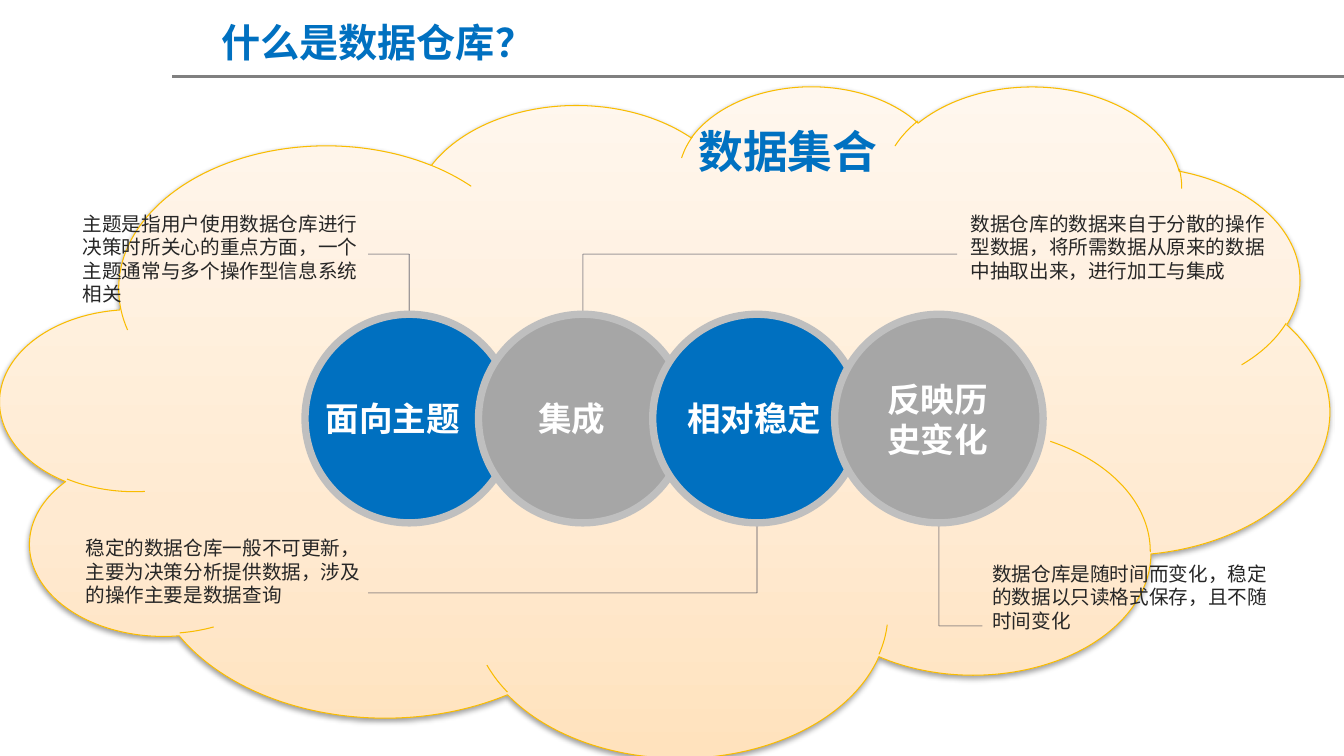
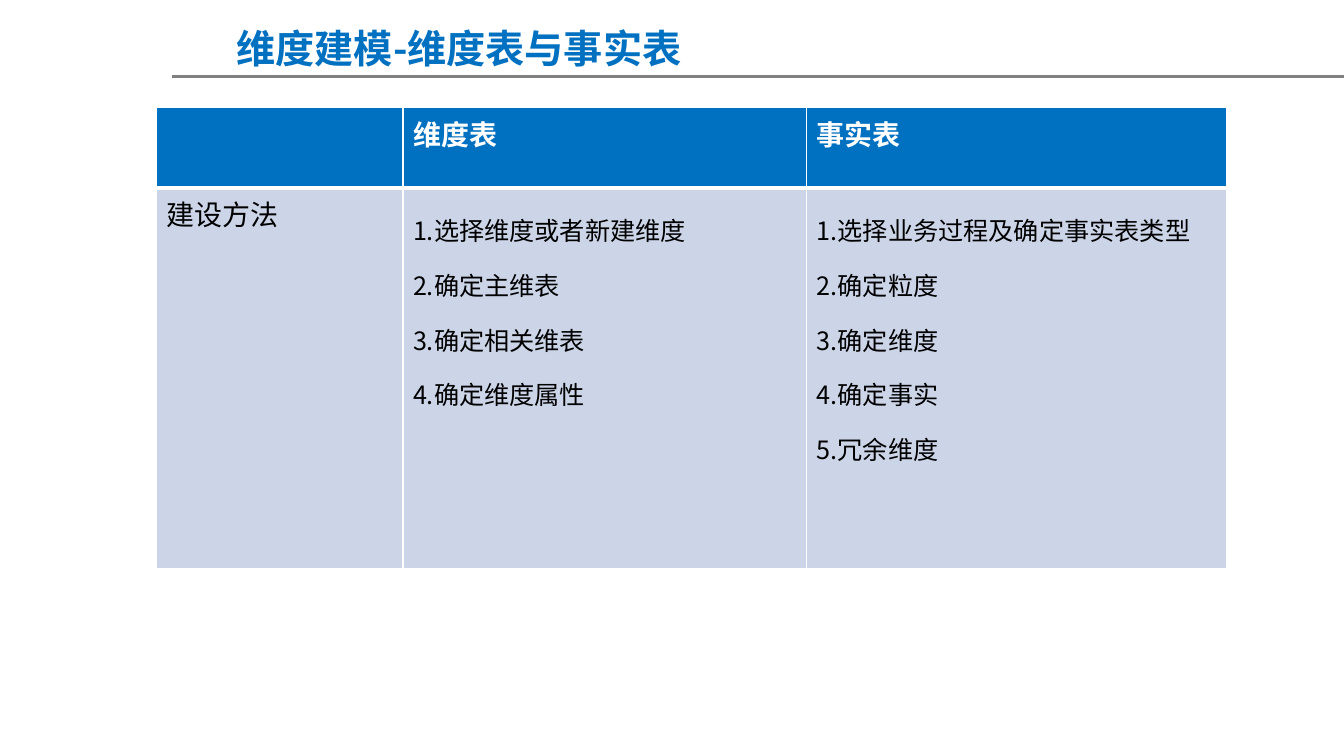
"""Build two slides on data warehouses: key features and dimensional modelling."""
from copy import deepcopy

from lxml import etree
from pptx import Presentation
from pptx.dml.color import RGBColor
from pptx.enum.shapes import MSO_CONNECTOR, MSO_SHAPE
from pptx.enum.text import PP_ALIGN
from pptx.oxml.ns import qn
from pptx.util import Pt

STRAIGHT = MSO_CONNECTOR.STRAIGHT
CLOUD = MSO_SHAPE.CLOUD
OVAL = MSO_SHAPE.OVAL
LEFT = PP_ALIGN.LEFT
CENTER = PP_ALIGN.CENTER

WIDTH, HEIGHT = 960.5, 540
FONT = "Noto Sans CJK SC"
BLUE, GRAY, RING, RULE = "0070C0", "A6A6A6", "BFBFBF", "808080"
WHITE, BLACK, INK, LEADER = "FFFFFF", "000000", "262626", "414455"
CLOUD_EDGE, CELL = "F9BC00", "CCD5E8"
CLOUD_STOPS = [("FFE2BD", 0), ("FFEAD1", 0.35), ("FFF7EE", 1)]

CIRCLE_TOP, CIRCLE_SIZE = 224.5, 149
CIRCLES = [
    ("面向主题", 218, BLUE, (225.5, 281, 123)),
    ("集成", 342, GRAY, (377.5, 281, 96.5)),
    ("相对稳定", 466.5, BLUE, (484, 281, 114)),
    ("反映历史变化", 596.5, GRAY, (627, 267, 96.5)),
]
NOTES = [
    ("主题是指用户使用数据仓库进行决策时所关心的重点方面，一个主题通常与多个操作型信息系统相关",
     (52, 147.5, 219.5, 91), (263, 181.5)),
    ("数据仓库的数据来自于分散的操作型数据，将所需数据从原来的数据中抽取出来，进行加工与集成",
     (686.5, 147.5, 234.5, 99.5), (684, 181.5)),
    ("稳定的数据仓库一般不可更新，主要为决策分析提供数据，涉及的操作主要是数据查询",
     (54, 379.5, 219.5, 99.5), (263, 423.5)),
    ("数据仓库是随时间而变化，稳定的数据以只读格式保存，且不随时间变化",
     (702, 397.5, 219.5, 99.5), (702, 447)),
]
COLUMNS, ROWS = [176.5, 288.5, 300.5], [57.5, 271.5]
HEADINGS = ["", "维度表", "事实表"]
METHODS = [
    ["建设方法"],
    ["1.选择维度或者新建维度", "2.确定主维表", "3.确定相关维表", "4.确定维度属性"],
    ["1.选择业务过程及确定事实表类型", "2.确定粒度", "3.确定维度", "4.确定事实",
     "5.冗余维度"],
]


def rgb(color):
    """Turn a hex string into a colour."""
    return RGBColor.from_string(color)


def child(parent, tag, **attrs):
    """Append an XML element with attributes."""
    el = etree.SubElement(parent, qn(tag))
    for key, value in attrs.items():
        el.set(key, str(value))
    return el


def write(tf, lines, size, color, bold=False, align=LEFT, spacing=None):
    """Fill a text frame with equally styled paragraphs."""
    for i, line in enumerate(lines):
        p = tf.paragraphs[0] if i == 0 else tf.add_paragraph()
        p.text = line
        p.alignment = align
        if spacing:
            p.line_spacing = spacing
        p.font.size, p.font.bold, p.font.name = Pt(size), bold, FONT
        p.font.color.rgb = rgb(color)
        child(p._p.pPr.find(qn("a:defRPr")), "a:ea", typeface=FONT)


def add_text(shapes, box, text, size, color, **style):
    """Add a wrapping text box."""
    tf = shapes.add_textbox(*map(Pt, box)).text_frame
    tf.word_wrap = True
    write(tf, [text], size, color, **style)


def add_line(shapes, start, end, color, width, alpha=None):
    """Add a straight line without a shadow."""
    c = shapes.add_connector(STRAIGHT, *map(Pt, (*start, *end)))
    c.line.color.rgb = rgb(color)
    c.line.width = Pt(width)
    if alpha:
        child(c._element.spPr.find(".//" + qn("a:srgbClr")), "a:alpha", val=alpha * 1000)
    child(c._element.spPr, "a:effectLst")


def add_outlined(shapes, kind, box, color, width):
    """Add a preset shape with an outline and no shadow."""
    sp = shapes.add_shape(kind, *map(Pt, box))
    sp.shadow.inherit = False
    sp.line.color.rgb = rgb(color)
    sp.line.width = Pt(width)
    return sp


def add_cloud(shapes):
    """Add the shaded cloud behind the diagram."""
    sp = add_outlined(shapes, CLOUD, (0.5, 60.5, 949.5, 479.5), CLOUD_EDGE, 0.75)
    sp.fill.gradient()
    sp.fill.gradient_angle = 90
    stops = sp._element.spPr.find(".//" + qn("a:gsLst"))
    stops.append(deepcopy(stops[0]))
    for stop, (color, position) in zip(sp.fill.gradient_stops, CLOUD_STOPS):
        stop.color.rgb = rgb(color)
        stop.position = position
    shadow = child(sp._element.spPr.find(qn("a:effectLst")), "a:outerShdw",
                   blurRad=Pt(3.1), dist=Pt(1.6), dir=5400000, rotWithShape=0)
    child(child(shadow, "a:srgbClr", val=BLACK), "a:alpha", val=38000)


def add_circle(shapes, label, left, color, label_box):
    """Add a ringed circle grouped with its label."""
    group = shapes.add_group_shape().shapes
    sp = add_outlined(group, OVAL, (left, CIRCLE_TOP, CIRCLE_SIZE, CIRCLE_SIZE), RING, 5.25)
    sp.fill.solid()
    sp.fill.fore_color.rgb = rgb(color)
    add_text(group, (*label_box, 44.5), label, 24, WHITE, bold=True)


def add_leader(shapes, circle_left, end):
    """Add an elbow of two lines from a circle to its note."""
    x = circle_left + CIRCLE_SIZE / 2
    y = CIRCLE_TOP if end[1] < CIRCLE_TOP else CIRCLE_TOP + CIRCLE_SIZE
    corner = (x, end[1])
    add_line(shapes, (x, y), corner, LEADER, 0.75, alpha=50)
    add_line(shapes, corner, end, LEADER, 0.75, alpha=50)


def style_cell(cell, fill, bottom):
    """Give a cell white borders and a plain fill."""
    props = cell._tc.get_or_add_tcPr()
    for side, width in (("L", 1), ("R", 1), ("T", 1), ("B", bottom)):
        ln = child(props, "a:ln" + side, w=Pt(width))
        child(child(ln, "a:solidFill"), "a:srgbClr", val=WHITE)
    cell.fill.solid()
    cell.fill.fore_color.rgb = rgb(fill)


def add_methods_table(shapes):
    """Add the table that compares dimension and fact tables."""
    table = shapes.add_table(len(ROWS), len(COLUMNS), Pt(111.5), Pt(77),
                             Pt(sum(COLUMNS)), Pt(sum(ROWS))).table
    for row, height in zip(table.rows, ROWS):
        row.height = Pt(height)
    for i, (width, heading, lines) in enumerate(zip(COLUMNS, HEADINGS, METHODS)):
        table.columns[i].width = Pt(width)
        head, body = table.cell(0, i), table.cell(1, i)
        style_cell(head, BLUE, 3)
        style_cell(body, CELL, 1)
        write(head.text_frame, [heading], 20, WHITE, bold=True)
        size, spacing = (18, 1.5) if i else (20, None)
        write(body.text_frame, lines, size, BLACK, spacing=spacing)


def add_slide(prs):
    """Add a blank slide with the shared rule under the title."""
    shapes = prs.slides.add_slide(prs.slide_layouts[6]).shapes
    add_line(shapes, (123, 54.5), (WIDTH, 54.5), RULE, 2)
    return shapes


def add_title(shapes, box, text, align=LEFT):
    """Add a slide title."""
    add_text(shapes, box, text, 28, BLUE, bold=True, align=align)


def build_features(prs):
    """Build the slide on what a data warehouse is."""
    shapes = add_slide(prs)
    add_cloud(shapes)
    add_title(shapes, (151, 9.5, 304.5, 41), "什么是数据仓库？")
    for (_, left, _, _), (note, box, end) in zip(CIRCLES, NOTES):
        add_text(shapes, box, note, 14, INK)
        add_leader(shapes, left, end)
    for circle in CIRCLES:
        add_circle(shapes, *circle)
    add_text(shapes, (492, 84.5, 162, 46), "数据集合", 32, "0071C1", bold=True)


def build_modelling(prs):
    """Build the slide on dimension and fact tables."""
    shapes = add_slide(prs)
    add_title(shapes, (136, 13.5, 384, 41), "维度建模-维度表与事实表", CENTER)
    add_methods_table(shapes)


def main():
    """Build and save the presentation."""
    prs = Presentation()
    prs.slide_width, prs.slide_height = Pt(WIDTH), Pt(HEIGHT)
    build_features(prs)
    build_modelling(prs)
    prs.save("out.pptx")


if __name__ == "__main__":
    main()
